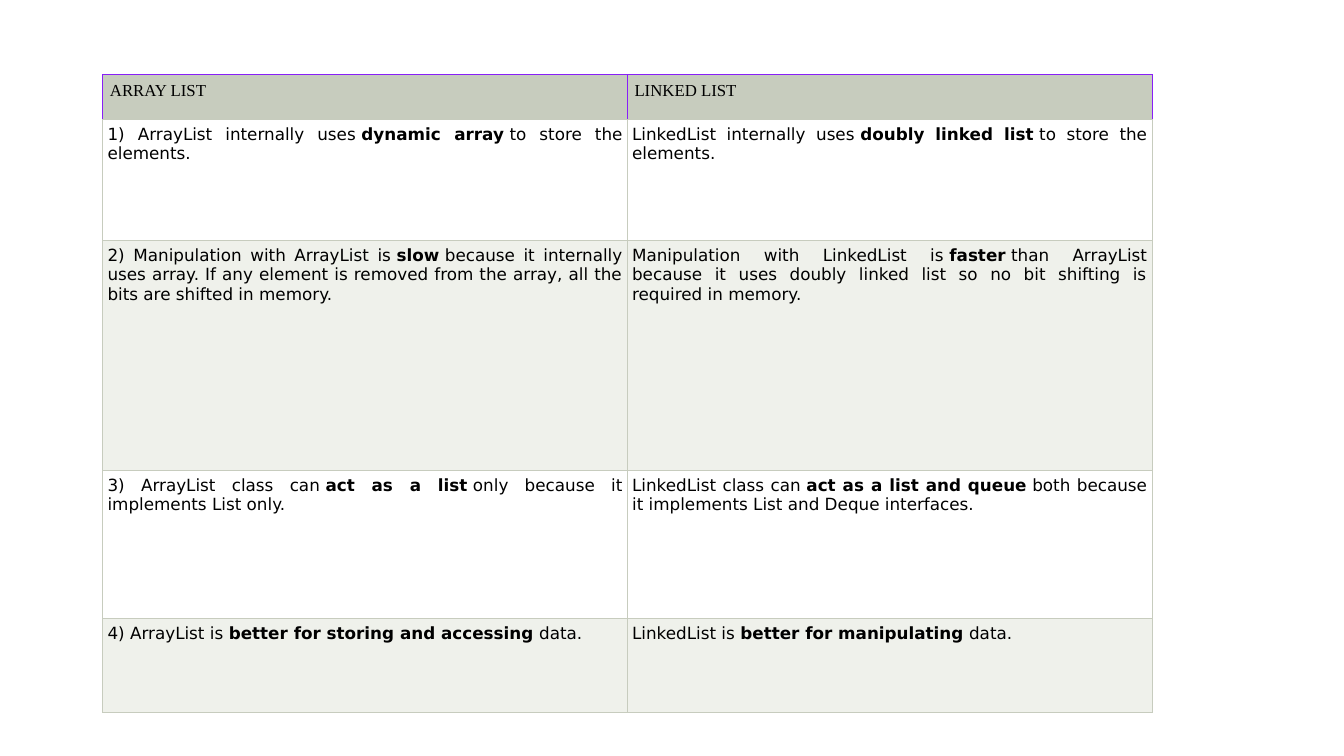
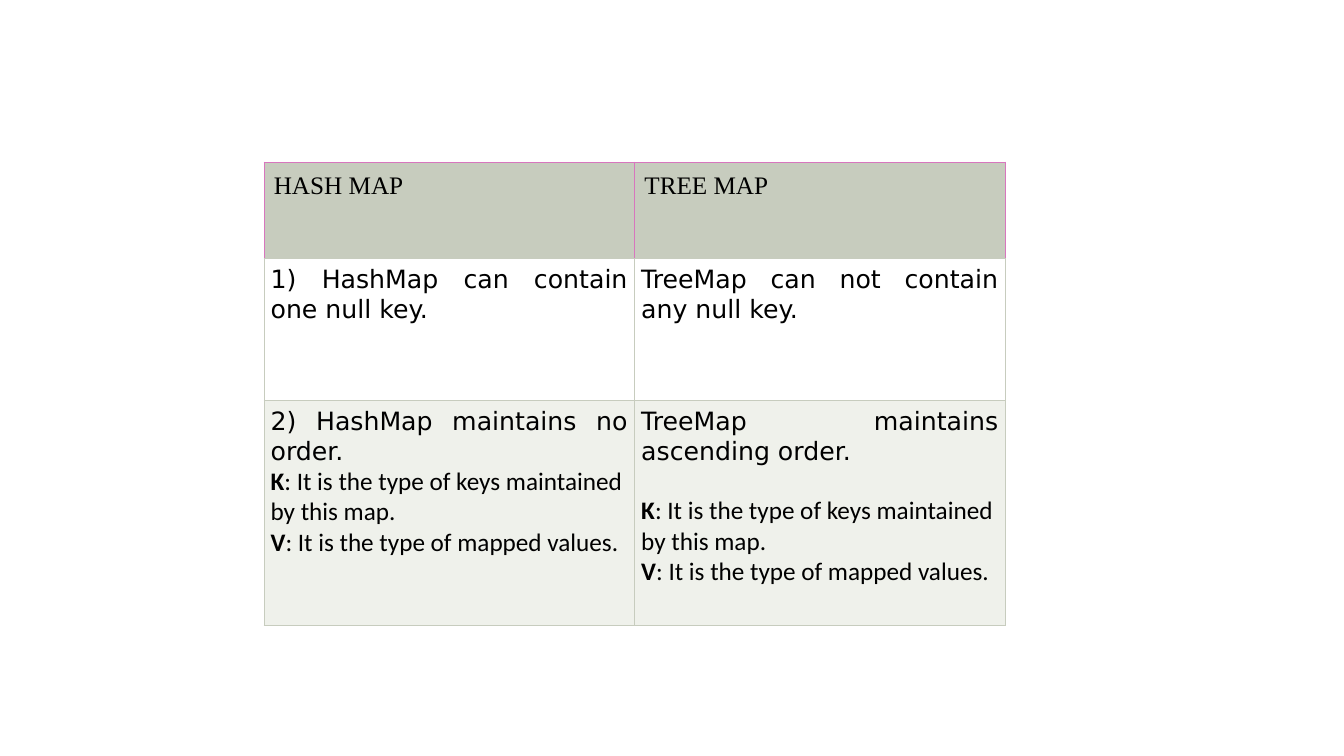
import pptx
import pptx.dml.color
import pptx.enum.text
import pptx.oxml
import pptx.oxml.ns
import pptx.util

COLORS = {
    "text": "000000",
    "header": "C7CCBE",
    "grid": "C7CCBE",
    "plain": "FFFFFF",
    "band": "EFF1EB",
    "violet": "881FF7",
    "pink": "D876BE",
}
FONTS = {"header": "Times New Roman", "body": "DejaVu Sans", "note": "Calibri"}
JUSTIFY = pptx.enum.text.PP_ALIGN.JUSTIFY
BORDER_WIDTH = pptx.util.Pt(0.6)


def apply(target, values):
    for name, value in values.items():
        setattr(target, name, value)


class ComparisonDeck:
    """Builds slides that compare two collections in a table."""

    def __init__(self):
        self.presentation = pptx.Presentation()
        apply(self.presentation, {
            "slide_width": pptx.util.Cm(33.87),
            "slide_height": pptx.util.Cm(19.05),
        })
        self.slide = None

    def add_slide(self):
        self.slide = self.presentation.slides.add_slide(self.presentation.slide_layouts[6])

    def add_borders(self, cell, colors):
        properties = cell._tc.get_or_add_tcPr()
        for index, side in enumerate("LRTB"):
            properties.insert(index, pptx.oxml.parse_xml(
                f'<a:ln{side} {pptx.oxml.ns.nsdecls("a")} w="{BORDER_WIDTH}">'
                f'<a:solidFill><a:srgbClr val="{COLORS[colors[side]]}"/></a:solidFill>'
                f'</a:ln{side}>'))

    def add_text(self, paragraph, text, font, size):
        for index, part in enumerate(text.split("**")):
            if part:
                run = paragraph.add_run()
                run.text = part
                apply(run.font, {
                    "name": FONTS[font],
                    "size": pptx.util.Pt(size),
                    "bold": index % 2 == 1,
                })
                run.font.color.rgb = pptx.dml.color.RGBColor.from_string(COLORS["text"])

    def fill_cell(self, cell, fill, margin, borders):
        sides = ("left", "right", "top", "bottom")
        apply(cell, {f"margin_{side}": pptx.util.Cm(margin) for side in sides})
        cell.fill.solid()
        cell.fill.fore_color.rgb = pptx.dml.color.RGBColor.from_string(COLORS[fill])
        self.add_borders(cell, borders)

    def add_table(self, left, top, column_width, heights, rows, size, accent, margins):
        columns = len(rows[0])
        table = self.slide.shapes.add_table(
            len(rows), columns, pptx.util.Cm(left), pptx.util.Cm(top),
            pptx.util.Cm(column_width * columns), pptx.util.Cm(sum(heights))).table
        apply(table, {"first_row": False, "horz_banding": False})
        for column in table.columns:
            column.width = pptx.util.Cm(column_width)
        for row_index, (height, texts) in enumerate(zip(heights, rows)):
            table.rows[row_index].height = pptx.util.Cm(height)
            is_header = row_index == 0
            fill = "header" if is_header else ("band", "plain")[row_index % 2]
            borders = dict.fromkeys("LRTB", "grid")
            if is_header:
                borders.update(dict.fromkeys("LRT", accent))
            for column_index, text in enumerate(texts):
                cell = table.cell(row_index, column_index)
                self.fill_cell(cell, fill, margins[0 if is_header else 1], borders)
                paragraph = cell.text_frame.paragraphs[0]
                self.add_text(paragraph, text, "header" if is_header else "body", size)
                if not is_header:
                    paragraph.alignment = JUSTIFY
        return table

    def add_notes(self, cell, notes, size, gap=0):
        cell.text_frame.paragraphs[0].space_after = pptx.util.Pt(gap)
        for note in notes:
            self.add_text(cell.text_frame.add_paragraph(), note, "note", size)

    def save(self):
        self.presentation.save("out.pptx")


LIST_ROWS = [
    ("ARRAY LIST", "LINKED LIST"),
    ("1) ArrayList internally uses\u00a0**dynamic array**\u00a0to store the elements.",
     "LinkedList internally uses\u00a0**doubly linked list**\u00a0to store the elements."),
    ("2) Manipulation with ArrayList is\u00a0**slow**\u00a0because it internally uses array. "
     "If any element is removed from the array, all the bits are shifted in memory.",
     "Manipulation with LinkedList is\u00a0**faster**\u00a0than ArrayList because it uses "
     "doubly linked list so no bit shifting is required in memory."),
    ("3) ArrayList class can\u00a0**act as a list**\u00a0only because it implements List only.",
     "LinkedList class can\u00a0**act as a list and queue**\u00a0both because it implements "
     "List and Deque interfaces."),
    ("4) ArrayList is\u00a0**better for storing and accessing**\u00a0data.",
     "LinkedList is\u00a0**better for manipulating**\u00a0data."),
]
MAP_ROWS = [
    ("HASH MAP", "TREE MAP"),
    ("1) HashMap can contain one null key.", "TreeMap can not contain any null key."),
    ("2) HashMap maintains no order.", "TreeMap maintains ascending order."),
]
TYPE_NOTES = [
    "**K**: It is the type of keys maintained by this map.",
    "**V**: It is the type of mapped values.",
]

deck = ComparisonDeck()

deck.add_slide()
deck.add_table(2.59, 1.88, 13.22, [1.14, 3.05, 5.79, 3.73, 2.36], LIST_ROWS,
               size=12, accent="violet", margins=(0.18, 0.12))

deck.add_slide()
map_table = deck.add_table(6.65, 4.08, 9.34, [2.44, 3.58, 5.66], MAP_ROWS,
                           size=18, accent="pink", margins=(0.25, 0.17))
for column_index, gap in enumerate((0, 21)):
    deck.add_notes(map_table.cell(2, column_index), TYPE_NOTES, size=18, gap=gap)

deck.save()
